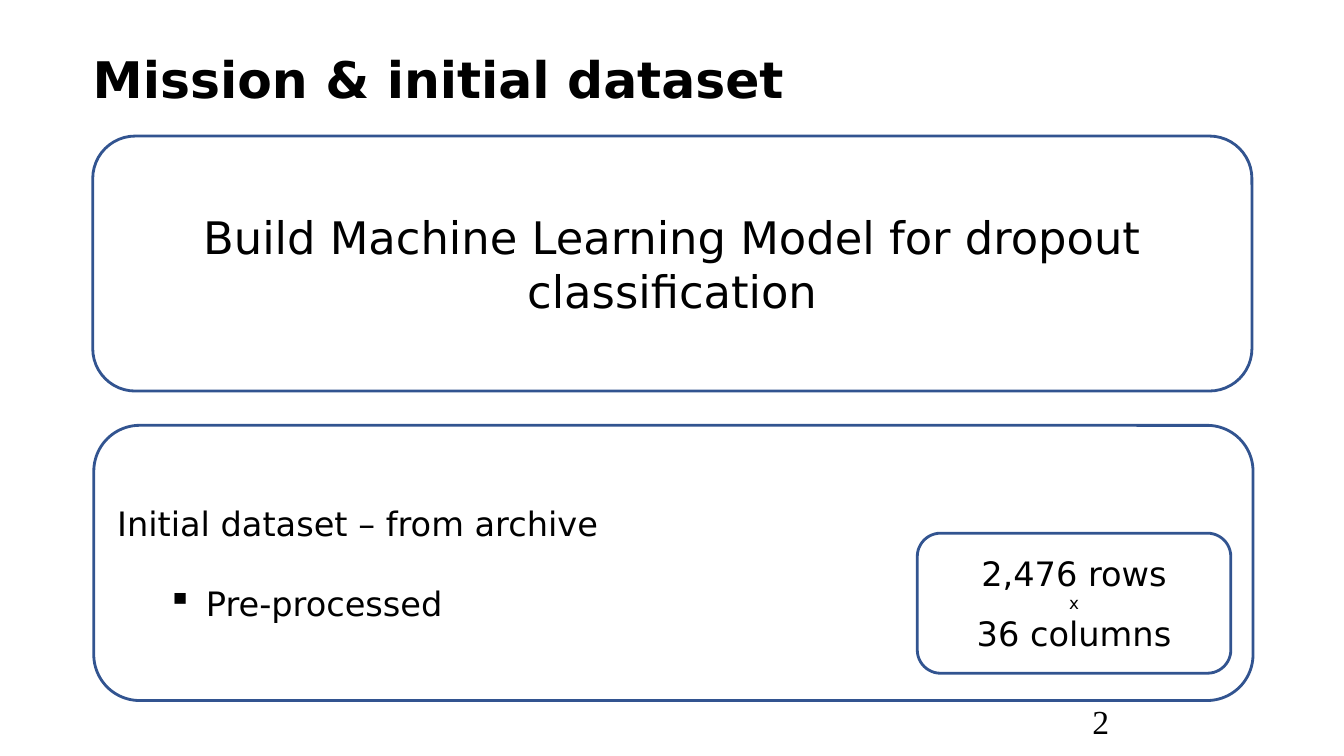
from dataclasses import dataclass

from lxml.etree import SubElement
from pptx import Presentation
from pptx.dml.color import RGBColor
from pptx.enum.shapes import MSO_SHAPE
from pptx.enum.text import MSO_ANCHOR, PP_ALIGN
from pptx.oxml.ns import qn
from pptx.slide import Slide
from pptx.util import Emu, Inches, Pt

COLOURS = {"text": "000000", "outline": "325490"}
SANS = "DejaVu Sans"
SERIF = "Times New Roman"
PAGE_WIDTH = Inches(13.33)
PAGE_HEIGHT = Inches(7.5)


@dataclass(frozen=True)
class Line:
    text: str
    size: int = 24
    font: str = SANS
    bold: bool = False
    align: PP_ALIGN = PP_ALIGN.CENTER
    spacing: float = 1.0
    before: int = 0
    bullet: str = ""


@dataclass(frozen=True)
class Block:
    left: float
    top: float
    width: float
    height: float
    lines: tuple[Line, ...]
    outlined: bool = True
    inset: bool = True


BLOCKS = (
    Block(6.9, 5.33, 86.25, 11.07,
          (Line("Mission & initial dataset", 36, bold=True,
                align=PP_ALIGN.LEFT, spacing=0.9),),
          outlined=False, inset=False),
    Block(70.65, 92.67, 22.5, 5.33, (Line("2", font=SERIF),), outlined=False),
    Block(6.9, 18, 86.25, 33.73,
          (Line("Build Machine Learning Model for dropout classification", 32),)),
    Block(6.98, 56.27, 86.25, 36.4,
          (Line("Initial dataset – from archive", align=PP_ALIGN.LEFT),
           Line("Pre-processed", align=PP_ALIGN.LEFT, before=28, bullet="▪"))),
    Block(68.25, 70.53, 23.33, 18.53,
          (Line("2,476 rows"), Line("x", 12), Line("36 columns"))),
)


def colour(name: str) -> RGBColor:
    return RGBColor.from_string(COLOURS[name])


def add_bullet(para, symbol: str) -> None:
    para.level = 1
    properties = para._p.get_or_add_pPr()
    properties.set("marL", str(Inches(0.88)))
    properties.set("indent", str(Inches(-0.38)))
    bullet_colour = SubElement(properties, qn("a:buClr"))
    SubElement(bullet_colour, qn("a:srgbClr")).set("val", COLOURS["text"])
    SubElement(properties, qn("a:buChar")).set("char", symbol)


def write_line(para, line: Line) -> None:
    para.alignment = line.align
    para.line_spacing = line.spacing
    para.space_before = Pt(line.before)
    if line.bullet:
        add_bullet(para, line.bullet)
    span = para.add_run()
    span.text = line.text
    span.font.size = Pt(line.size)
    span.font.name = line.font
    span.font.bold = line.bold
    span.font.color.rgb = colour("text")


def draw_block(page: Slide, block: Block) -> None:
    bounds = (
        Emu(round(PAGE_WIDTH * block.left / 100)),
        Emu(round(PAGE_HEIGHT * block.top / 100)),
        Emu(round(PAGE_WIDTH * block.width / 100)),
        Emu(round(PAGE_HEIGHT * block.height / 100)),
    )
    if block.outlined:
        box = page.shapes.add_shape(MSO_SHAPE.ROUNDED_RECTANGLE, *bounds)
        box.shadow.inherit = False
        box.fill.background()
        box.line.color.rgb = colour("outline")
        box.line.width = Pt(2)
    else:
        box = page.shapes.add_textbox(*bounds)
    frame = box.text_frame
    frame.word_wrap = True
    frame.vertical_anchor = MSO_ANCHOR.MIDDLE
    if not block.inset:
        frame.margin_left = frame.margin_right = 0
        frame.margin_top = frame.margin_bottom = 0
    for index, line in enumerate(block.lines):
        para = frame.add_paragraph() if index else frame.paragraphs[0]
        write_line(para, line)


def main() -> None:
    deck = Presentation()
    deck.slide_width = PAGE_WIDTH
    deck.slide_height = PAGE_HEIGHT
    page = deck.slides.add_slide(deck.slide_layouts[6])
    for block in BLOCKS:
        draw_block(page, block)
    deck.save("out.pptx")


if __name__ == "__main__":
    main()
